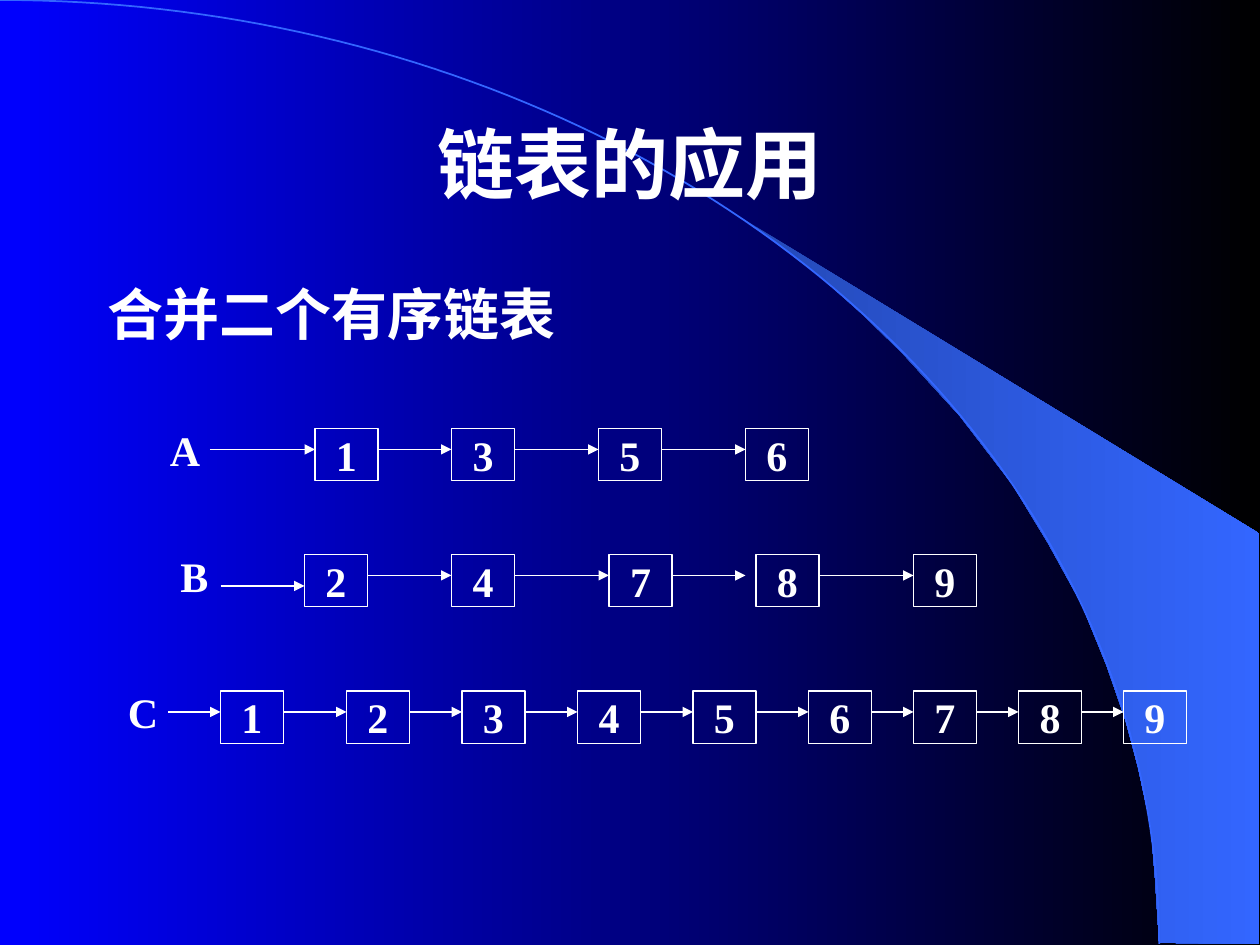
from math import cos, pi, sin

from lxml.etree import SubElement
from pptx import Presentation
from pptx.dml.color import RGBColor as Rgb
from pptx.enum.shapes import MSO_CONNECTOR as Link, MSO_SHAPE as Kind
from pptx.enum.text import MSO_ANCHOR as Anchor, MSO_AUTO_SIZE as Fit, PP_ALIGN as Align
from pptx.oxml.ns import qn
from pptx.util import Pt

PX = 7620
WIDE, HIGH = 1200, 900
BOX_W, BOX_H = 60, 50
HUES = {"blue": "0000FF", "night": "000000", "deep": "2449B6", "sky": "3366FF", "white": "FFFFFF"}
WEDGE = [(1104, 898), (1199, 899), (1199, 508), (707, 208), (749, 239), (784, 266),
         (822, 300), (859, 336), (914, 396), (964, 461), (998, 517), (1030, 575),
         (1054, 634), (1072, 686), (1084, 731), (1096, 787), (1100, 835)]
STEPS = 90
ARC = [(1104 * sin(pi / 2 * i / STEPS), 899 * (1 - cos(pi / 2 * i / STEPS)))
       for i in range(STEPS + 1)]


class Deck:
    serif = "Times New Roman"
    sans = "Arial"

    def __init__(self):
        self.file = Presentation()
        self.file.slide_width, self.file.slide_height = WIDE * PX, HIGH * PX
        self.slide = self.file.slides.add_slide(self.file.slide_layouts[1])
        self.shapes = self.slide.shapes

    def hue(self, name):
        return Rgb.from_string(HUES[name])

    def blend(self, fill, *names):
        fill.gradient()
        fill.gradient_angle = 0
        for stop, name in zip(fill.gradient_stops, names):
            stop.color.rgb = self.hue(name)

    def stroke(self, line, name="white", width=0.75):
        line.color.rgb = self.hue(name)
        line.width = Pt(width)

    def letter(self, frame, text, size=24, font=serif, align=Align.LEFT, anchor=Anchor.TOP):
        frame.text = text
        frame.auto_size = Fit.NONE
        frame.vertical_anchor = anchor
        para = frame.paragraphs[0]
        para.alignment = align
        para.space_before = Pt(0)
        face = para.runs[0].font
        face.name, face.size, face.bold = font, Pt(size), True
        face.color.rgb = self.hue("white")

    def holder(self, index, x, y, w, h):
        shape = self.slide.placeholders[index]
        shape.left, shape.top, shape.width, shape.height = (v * PX for v in (x, y, w, h))
        shape.element.getparent().append(shape.element)
        return shape.text_frame

    def title(self, text, *area):
        self.letter(self.holder(0, *area), text, 44, self.sans, Align.CENTER, Anchor.MIDDLE)

    def body(self, text, *area):
        frame = self.holder(1, *area)
        self.letter(frame, text, 32)
        props = frame.paragraphs[0]._p.get_or_add_pPr()
        props.set("marL", str(62 * PX))
        props.set("indent", str(-62 * PX))
        SubElement(props, qn("a:buNone"))

    def outline(self, points, close):
        spots = [(x * PX, y * PX) for x, y in points]
        pen = self.shapes.build_freeform(*spots[0], scale=1.0)
        pen.add_line_segments(spots[1:], close=close)
        shape = pen.convert_to_shape()
        shape.shadow.inherit = False
        return shape

    def wedge(self, points):
        shape = self.outline(points, True)
        self.blend(shape.fill, "deep", "sky")
        shape.line.fill.background()

    def curve(self, points):
        shape = self.outline(points, False)
        shape.fill.background()
        self.stroke(shape.line, "sky", 1)

    def label(self, text, x, y):
        box = self.shapes.add_textbox(x * PX, y * PX, 60 * PX, 60 * PX)
        box.text_frame.word_wrap = True
        self.letter(box.text_frame, text)

    def node(self, text, x, y):
        box = self.shapes.add_shape(Kind.RECTANGLE, x * PX, y * PX, BOX_W * PX, BOX_H * PX)
        box.shadow.inherit = False
        box.fill.background()
        self.stroke(box.line)
        self.letter(box.text_frame, text, align=Align.CENTER, anchor=Anchor.MIDDLE)
        box.text_frame.word_wrap = False

    def arrow(self, start, end, y):
        line = self.shapes.add_connector(Link.STRAIGHT, start * PX, y * PX, end * PX, y * PX)
        self.stroke(line.line)
        props = line.element.spPr
        SubElement(props.find(qn("a:ln")), qn("a:tailEnd"), type="triangle")
        SubElement(props, qn("a:effectLst"))

    def chain(self, name, x, y, head, nodes, drop=20, gaps={}):
        self.label(name, x, y - 10)
        start = head
        for i, (text, left) in enumerate(nodes):
            self.node(text, left, y)
            self.arrow(start, left - gaps.get(text, 0), y + (20 if i else drop))
            start = left + BOX_W


def main():
    deck = Deck()
    deck.blend(deck.slide.background.fill, "blue", "night")
    deck.wedge(WEDGE)
    deck.curve(ARC)
    deck.title("链表的应用", 90, 80, 1020, 150)
    deck.body("合并二个有序链表", 90, 260, 1020, 100)
    deck.chain("A", 150, 408, 200, zip("1356", (300, 430, 570, 710)))
    deck.chain("B", 160, 528, 210, zip("24789", (290, 430, 580, 720, 870)), 30, {"8": 10})
    deck.chain("C", 110, 658, 160,
               zip("123456789", (210, 330, 440, 550, 660, 770, 870, 970, 1070)))
    deck.file.save("out.pptx")


if __name__ == "__main__":
    main()
